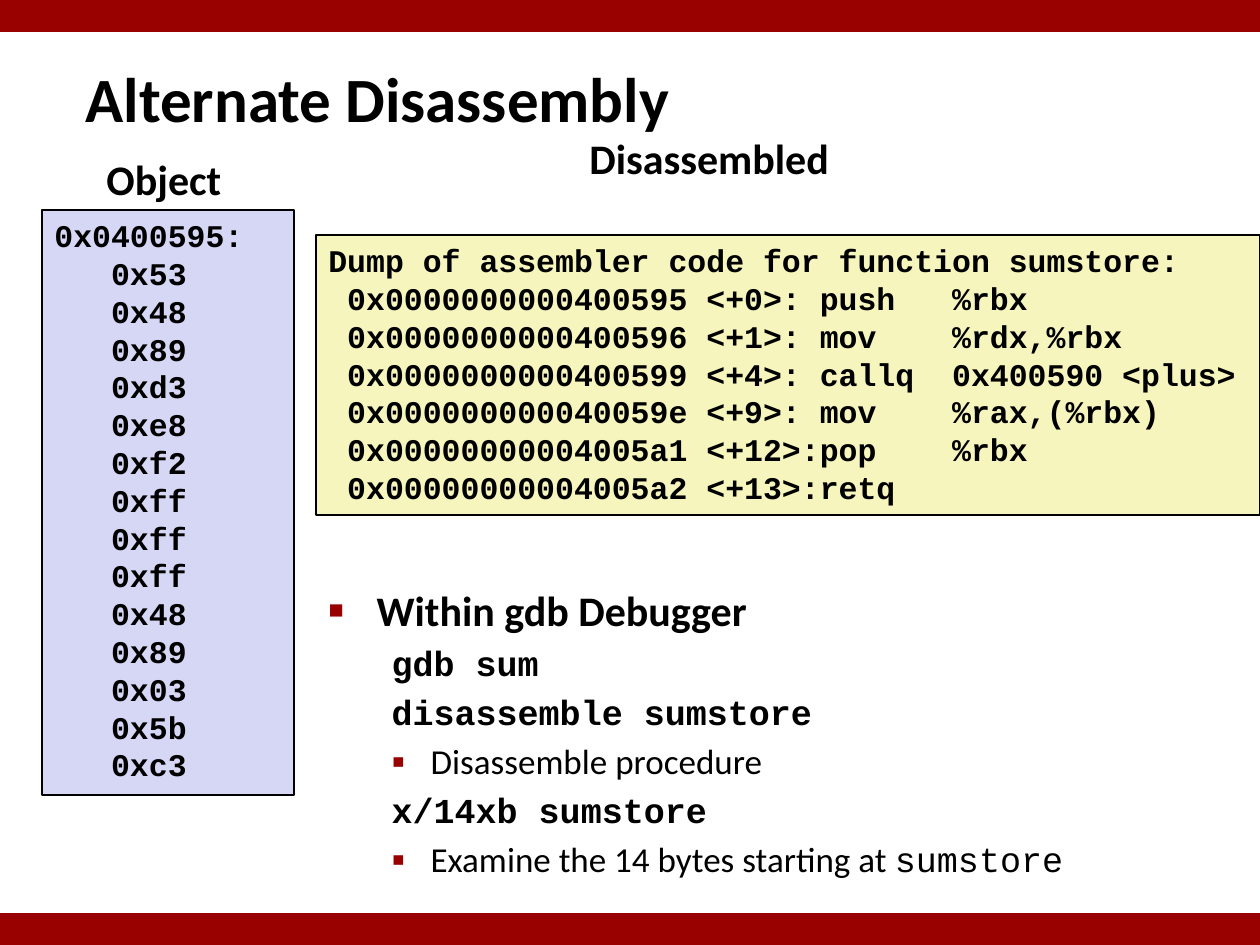
from dataclasses import dataclass

from lxml.etree import SubElement
from pptx import Presentation
from pptx.dml.color import RGBColor as Color
from pptx.enum.shapes import MSO_SHAPE as Preset
from pptx.enum.text import MSO_ANCHOR as Anchor, MSO_AUTO_SIZE as AutoSize, PP_ALIGN as Align
from pptx.oxml.ns import qn
from pptx.util import Pt

PX = 914400 / 126


@dataclass(frozen=True)
class Theme:
    red: str = "990000"
    black: str = "000000"
    lilac: str = "D6D6F5"
    cream: str = "F6F5BD"
    sans: str = "Calibri"
    mono: str = "Courier New"
    title: int = 36
    heading: int = 24
    body: int = 20
    code: int = 18


theme = Theme()


def place(shape, *box):
    shape.left, shape.top, shape.width, shape.height = [round(length * PX) for length in box]


def style(runs, name, size, bold=True):
    for run in runs:
        run.font.name = name
        run.font.size = Pt(size)
        run.font.bold = bold
        run.font.color.rgb = Color.from_string(theme.black)


presentation = Presentation()
presentation.slide_width = round(1260 * PX)
presentation.slide_height = round(945 * PX)
slide = presentation.slides.add_slide(presentation.slide_layouts[1])

title = slide.shapes.title
place(title, 73, 58, 861, 79)
title.text_frame.text = "Alternate Disassembly"
title.text_frame.auto_size = AutoSize.NONE
title.text_frame.vertical_anchor = Anchor.MIDDLE
title.text_frame.paragraphs[0].alignment = Align.LEFT
style(title.text_frame.paragraphs[0].runs, theme.sans, theme.title)

for text, left, top, width in [("Disassembled", 577, 126, 359), ("Object", 94, 147, 180)]:
    label = slide.shapes.add_textbox(0, 0, 0, 0)
    place(label, left, top, width, 57)
    label.text_frame.word_wrap = True
    label.text_frame.text = text
    style(label.text_frame.paragraphs[0].runs, theme.sans, theme.heading)

object_bytes = "53 48 89 d3 e8 f2 ff ff ff 48 89 03 5b c3".split()
object_lines = ["0x0400595:"] + [f"   0x{byte}" for byte in object_bytes]
assembler_lines = [
    "Dump of assembler code for function sumstore:",
    " 0x0000000000400595 <+0>: push   %rbx",
    " 0x0000000000400596 <+1>: mov    %rdx,%rbx",
    " 0x0000000000400599 <+4>: callq  0x400590 <plus>",
    " 0x000000000040059e <+9>: mov    %rax,(%rbx)",
    " 0x00000000004005a1 <+12>:pop    %rbx",
    " 0x00000000004005a2 <+13>:retq",
]
panels = [
    (assembler_lines, theme.cream, (316, 235, 944, 280)),
    (object_lines, theme.lilac, (42, 210, 252, 585)),
]
for lines, fill, box in panels:
    panel = slide.shapes.add_shape(Preset.RECTANGLE, 0, 0, 0, 0)
    place(panel, *box)
    panel.shadow.inherit = False
    panel.fill.solid()
    panel.fill.fore_color.rgb = Color.from_string(fill)
    panel.line.color.rgb = Color.from_string(theme.black)
    panel.line.width = Pt(1)
    panel.text_frame.word_wrap = True
    panel.text_frame.vertical_anchor = Anchor.TOP
    panel.text_frame.text = "\n".join(lines)
    for paragraph in panel.text_frame.paragraphs:
        paragraph.alignment = Align.LEFT
        style(paragraph.runs, theme.mono, theme.code)

body = slide.placeholders[1]
place(body, 316, 578, 868, 310)
body.text_frame.auto_size = AutoSize.NONE
items = [
    ("Within gdb Debugger", 0, "■", 60, theme.sans, theme.heading, True),
    ("gdb sum", 1, None, None, theme.mono, theme.body, True),
    ("disassemble sumstore", 1, None, None, theme.mono, theme.body, True),
    ("Disassemble procedure", 1, "▪", 110, theme.sans, theme.body, False),
    ("x/14xb sumstore", 1, None, None, theme.mono, theme.body, True),
    ("Examine the 14 bytes starting at ", 1, "▪", 110, theme.sans, theme.body, False),
]
body.text_frame.text = "\n".join(item[0] for item in items)
for paragraph, (text, level, bullet, percent, name, size, bold) in zip(body.text_frame.paragraphs, items):
    paragraph.level = level
    margin, hanging = [(48, 48), (102, 39)][level]
    properties = paragraph._p.get_or_add_pPr()
    properties.set("marL", str(round(margin * PX)))
    properties.set("indent", str(round(-hanging * PX)))
    if bullet:
        SubElement(SubElement(properties, qn("a:buClr")), qn("a:srgbClr"), val=theme.red)
        SubElement(properties, qn("a:buSzPct"), val=str(percent * 1000))
        SubElement(properties, qn("a:buChar"), char=bullet)
    else:
        SubElement(properties, qn("a:buNone"))
    style(paragraph.runs, name, size, bold)
body.text_frame.paragraphs[0].space_before = Pt(0)
function_name = body.text_frame.paragraphs[-1].add_run()
function_name.text = "sumstore"
style([function_name], theme.mono, theme.body, False)

for top in (1, 913):
    bar = slide.shapes.add_shape(Preset.RECTANGLE, 0, 0, 0, 0)
    place(bar, 0, top if top > 1 else 0, 1260, 32)
    bar.shadow.inherit = False
    bar.fill.solid()
    bar.fill.fore_color.rgb = Color.from_string(theme.red)
    bar.line.fill.background()

presentation.save("out.pptx")
